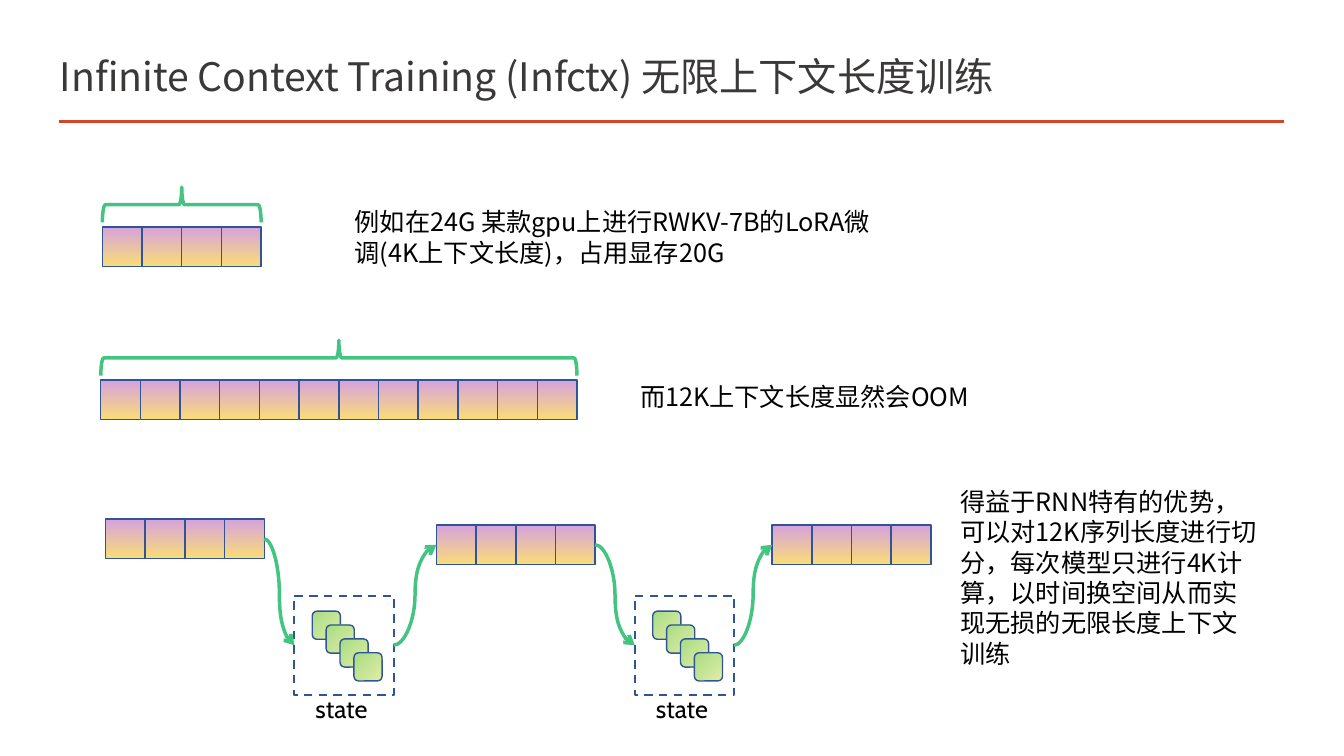
from collections import namedtuple
from dataclasses import dataclass

from lxml.etree import SubElement
from pptx import Presentation
from pptx.dml.color import RGBColor as Rgb
from pptx.enum.dml import MSO_LINE as Dash
from pptx.enum.shapes import MSO_CONNECTOR as Link, MSO_SHAPE as Preset
from pptx.enum.text import MSO_ANCHOR as Anchor, PP_ALIGN as Align
from pptx.oxml.ns import qn
from pptx.util import Cm, Pt

Box = namedtuple("Box", "left top width height")
LEFT, RIGHT = 1, 3


@dataclass(frozen=True)
class Theme:
    """Colours, fonts and sizes of the slide."""
    title: str = "3B3838"
    text: str = "000000"
    rule: str = "D24726"
    edge: str = "2F5597"
    flow: str = "43C480"
    paper: str = "FFFFFF"
    token: tuple = ("D5A2DD", "FADD77")
    tile: tuple = ("A6DC85", "E4EDA6")
    cjk: str = "Noto Sans CJK SC"
    latin: str = "Cabin"
    title_size: int = 28
    text_size: int = 18
    text_pitch: float = 21.7
    flow_width: float = 2.5


THEME = Theme()


def lengths(box):
    """Turn a box in centimetres into slide lengths."""
    return [Cm(value) for value in box]


def style_line(line, color, width):
    """Give a line its colour and width in points."""
    line.color.rgb = Rgb.from_string(color)
    line.width = Pt(width)


def style_para(para, size, color, font):
    """Give a paragraph one font for Latin and Chinese text."""
    para.font.size = Pt(size)
    para.font.color.rgb = Rgb.from_string(color)
    para.font.name = font
    props = para._p.pPr.find(qn("a:defRPr"))
    SubElement(props, qn("a:ea")).set("typeface", font)


def add_shape(shapes, preset, box, width=1):
    """Add an outlined preset shape without a shadow."""
    shape = shapes.add_shape(preset, *lengths(box))
    shape.shadow.inherit = False
    style_line(shape.line, THEME.edge, width)
    return shape


def fill_gradient(shape, colors, angle):
    """Fill a shape with a linear gradient of two colours."""
    shape.fill.gradient()
    shape.fill.gradient_angle = angle
    for stop, color in zip(shape.fill.gradient_stops, colors):
        stop.color.rgb = Rgb.from_string(color)


def add_line(shapes, kind, start, end, color, width):
    """Add a connector without a shadow."""
    line = shapes.add_connector(kind, *lengths(start + end))
    style_line(line.line, color, width)
    SubElement(line._element.spPr, qn("a:effectLst"))
    return line


def add_title(page, box, words):
    """Place the title and the rule below it."""
    title = page.shapes.title
    title.left, title.top, title.width, title.height = lengths(box)
    frame = title.text_frame
    frame.text = words
    frame.vertical_anchor = Anchor.MIDDLE
    para = frame.paragraphs[0]
    para.alignment = Align.LEFT
    style_para(para, THEME.title_size, THEME.title, THEME.cjk)
    height = box.top + 1.93
    add_line(page.shapes, Link.STRAIGHT, (box.left + 0.23, height),
             (box.left + box.width - 0.02, height), THEME.rule, 2)


def add_note(page, box, words):
    """Place an explanation in Chinese."""
    frame = page.shapes.add_textbox(*lengths(box)).text_frame
    frame.word_wrap = True
    frame.text = words
    para = frame.paragraphs[0]
    para.line_spacing = Pt(THEME.text_pitch)
    style_para(para, THEME.text_size, THEME.text, THEME.cjk)


def add_tokens(page, box):
    """Fill the box with a row of square cells and return the first and last."""
    side = box.height
    cells = []
    for index in range(round(box.width / side)):
        place = Box(box.left + index * side, box.top, side, side)
        cell = add_shape(page.shapes, Preset.RECTANGLE, place)
        fill_gradient(cell, THEME.token, 270)
        cells.append(cell)
    return cells[0], cells[-1]


def add_brace(page, box):
    """Place an upward brace over the row of cells in the box."""
    depth = 0.89
    middle = box.left + box.width / 2
    place = Box(middle - depth / 2, box.top - 0.56 - box.width / 2, depth, box.width)
    brace = add_shape(page.shapes, Preset.LEFT_BRACE, place)
    brace.rotation = 90
    brace.fill.background()
    style_line(brace.line, THEME.flow, THEME.flow_width)


def add_state(page, box):
    """Place a dashed state box with its tiles and label, and return the box."""
    shapes = page.shapes.add_group_shape().shapes
    frame = add_shape(shapes, Preset.FLOWCHART_PROCESS, box, 1.5)
    frame.fill.solid()
    frame.fill.fore_color.rgb = Rgb.from_string(THEME.paper)
    frame.line.dash_style = Dash.DASH
    for index in range(4):
        shift = index * 0.35
        place = Box(box.left + 0.45 + shift, box.top + 0.39 + shift, 0.71, 0.71)
        tile = add_shape(shapes, Preset.ROUNDED_RECTANGLE, place)
        fill_gradient(tile, THEME.tile, 315)
    place = Box(box.left + 0.28, box.top + 2.34, 1.93, 1)
    label = shapes.add_textbox(*lengths(place)).text_frame
    label.text = "state"
    label.word_wrap = True
    para = label.paragraphs[0]
    para.alignment = Align.LEFT
    style_para(para, THEME.text_size, THEME.text, THEME.latin)
    return frame


def add_flow(page, source, target):
    """Draw a curved arrow from the right of one shape to the left of the next."""
    arrow = add_line(page.shapes, Link.CURVE, (0, 0), (1, 1), THEME.flow, THEME.flow_width)
    arrow.begin_connect(source, RIGHT)
    arrow.end_connect(target, LEFT)
    SubElement(arrow.line._get_or_add_ln(), qn("a:tailEnd")).set("type", "arrow")


def add_chain(page, box):
    """Place three chunks of cells linked through two states."""
    chunks = [add_tokens(page, Box(box.left + shift, box.top + drop, 4, 1))
              for shift, drop in ((0, 0), (8.34, 0.15), (16.8, 0.15))]
    states = [add_state(page, Box(box.left + shift, box.top + 1.93, 2.5, 2.5))
              for shift in (4.76, 13.34)]
    for state, before, after in zip(states, chunks, chunks[1:]):
        add_flow(page, before[1], state)
        add_flow(page, state, after[0])


def main():
    """Build the slide and save it."""
    deck = Presentation()
    deck.slide_width, deck.slide_height = Cm(33.87), Cm(19.05)
    page = deck.slides.add_slide(deck.slide_layouts[5])
    add_title(page, Box(1.25, 1.14, 31.14, 1.55),
              "Infinite Context Training (Infctx) 无限上下文长度训练")
    for row in (Box(2.58, 5.72, 4, 1), Box(2.54, 9.58, 12, 1)):
        add_tokens(page, row)
        add_brace(page, row)
    add_chain(page, Box(2.66, 13.08, 20.8, 4.43))
    add_note(page, Box(8.69, 5.08, 13.79, 1.8),
             "例如在24G 某款gpu上进行RWKV-7B的LoRA微调(4K上下文长度)，占用显存20G")
    add_note(page, Box(15.88, 9.47, 13.84, 1.02), "而12K上下文长度显然会OOM")
    add_note(page, Box(23.95, 12.12, 8.1, 5.05),
             "得益于RNN特有的优势，可以对12K序列长度进行切分，每次模型只进行4K计算，"
             "以时间换空间从而实现无损的无限长度上下文训练")
    deck.save("out.pptx")


if __name__ == "__main__":
    main()
